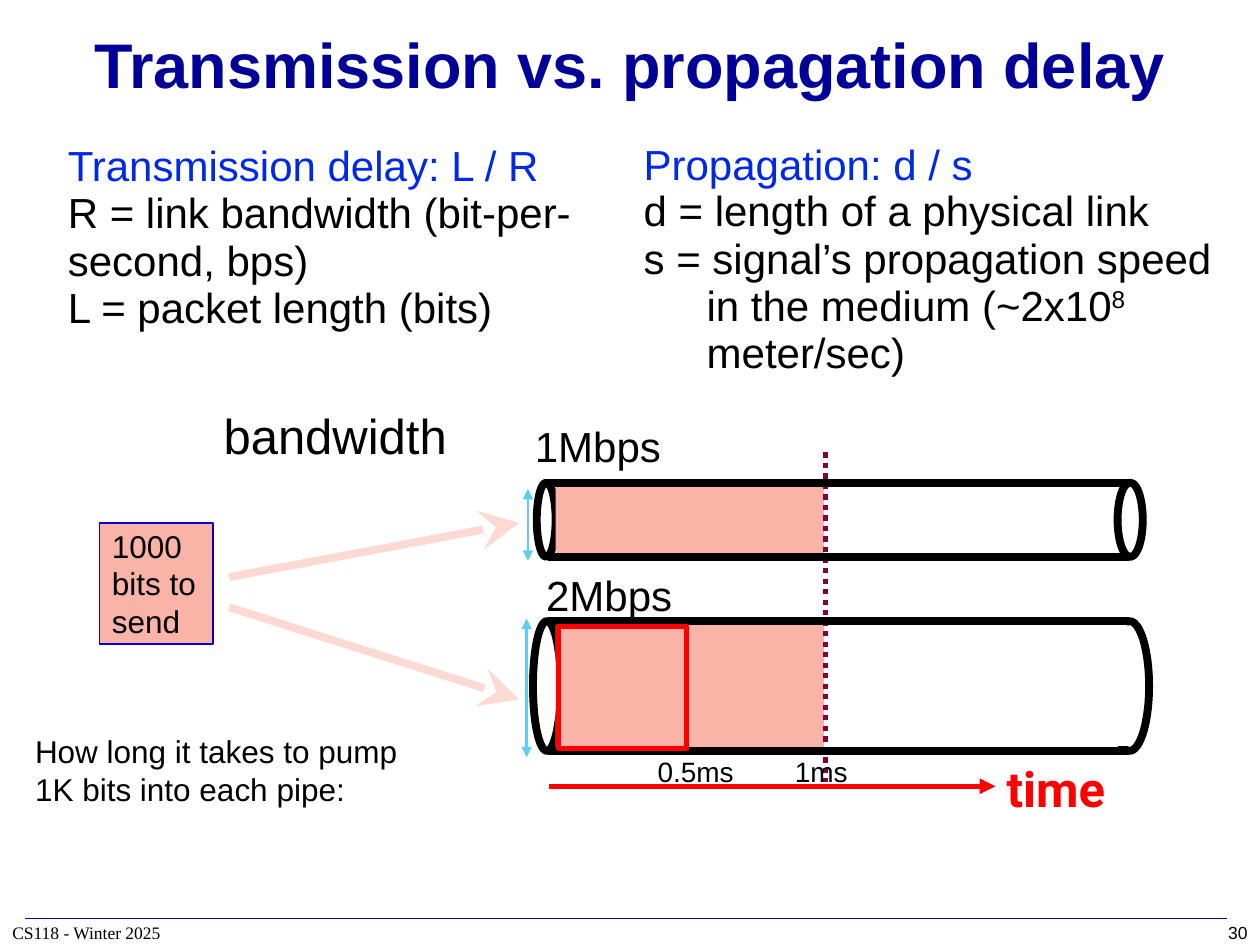
from lxml import etree
from pptx import Presentation
from pptx.dml.color import RGBColor as RGB
from pptx.enum.dml import MSO_LINE as DASH
from pptx.enum.shapes import MSO_CONNECTOR as CONN, MSO_SHAPE as SHAPE
from pptx.enum.text import MSO_ANCHOR as ANCHOR, PP_ALIGN as ALIGN
from pptx.oxml.ns import qn
from pptx.util import Inches, Pt

NAVY = RGB(0x00, 0x00, 0x99)
BLUE = RGB(0x00, 0x29, 0xE7)
EDGE = RGB(0x00, 0x00, 0xCC)
SKY = RGB(0x5E, 0xCC, 0xF3)
PINK = RGB(0xF9, 0xB3, 0xA7)
PALE = RGB(0xFC, 0xD9, 0xD3)
PLUM = RGB(0x80, 0x00, 0x40)
RED = RGB(0xFF, 0x00, 0x00)
BLACK = RGB(0x00, 0x00, 0x00)
WHITE = RGB(0xFF, 0xFF, 0xFF)


def style(para, size, color=BLACK, face="Arial", bold=False):
    """Set the font of a paragraph."""
    font = para.font
    font.name, font.size, font.bold = face, Pt(size), bold
    font.color.rgb = color


def label(slide, box, text, size, color=BLACK, face="Arial", bold=False,
          align=ALIGN.LEFT, anchor=ANCHOR.TOP, wrap=False):
    """Add a one-paragraph text box."""
    frame = slide.shapes.add_textbox(*map(Inches, box)).text_frame
    frame.word_wrap, frame.vertical_anchor = wrap, anchor
    para = frame.paragraphs[0]
    para.text, para.alignment = text, align
    style(para, size, color, face, bold)


def line(slide, start, end, color, width, head=None, tail=None, size="med", dash=None):
    """Add a straight line with optional arrowheads."""
    item = slide.shapes.add_connector(CONN.STRAIGHT, *map(Inches, (*start, *end)))
    item.line.color.rgb, item.line.width = color, Pt(width)
    if dash:
        item.line.dash_style = dash
    props = item.line._get_or_add_ln()
    for tag, kind in (("a:headEnd", head), ("a:tailEnd", tail)):
        if kind:
            etree.SubElement(props, qn(tag), type=kind, w=size, len=size)
    etree.SubElement(item._element.spPr, qn("a:effectLst"))


def shape(slide, kind, box, fill=None, edge=None, width=1):
    """Add a preset shape with a plain fill and outline."""
    item = slide.shapes.add_shape(kind, *map(Inches, box))
    item.shadow.inherit = False
    if fill is None:
        item.fill.background()
    else:
        item.fill.solid()
        item.fill.fore_color.rgb = fill
    if edge is None:
        item.line.fill.background()
    else:
        item.line.color.rgb, item.line.width = edge, Pt(width)
    return item


def title(slide, box, text):
    """Place and format the title."""
    item = slide.shapes.title
    item.left, item.top, item.width, item.height = map(Inches, box)
    frame = item.text_frame
    frame.text, frame.vertical_anchor = text, ANCHOR.MIDDLE
    para = frame.paragraphs[0]
    para.alignment = ALIGN.CENTER
    style(para, 36, NAVY, bold=True)


def column(slide, box, head, rows, lead=0.94, hang=0):
    """Write a blue heading and its definitions, with (text, raised) runs."""
    frame = slide.shapes.add_textbox(*map(Inches, box)).text_frame
    frame.word_wrap = True
    para = frame.paragraphs[0]
    para.text, para.line_spacing = head, lead
    style(para, 24, BLUE)
    for row in rows:
        para = frame.add_paragraph()
        para.line_spacing = 0.94
        if hang:
            props = para._p.get_or_add_pPr()
            props.set("marL", str(Inches(hang)))
            props.set("indent", str(-Inches(hang)))
        for text, raised in row:
            run = para.add_run()
            run.text = text
            if raised:
                run.font._element.set("baseline", "30000")
        style(para, 24)


def pipe(slide, box, near, far, open_end):
    """Draw the ends of a pipe and the bits that fill it for 1 ms."""
    x, y, w, h = box
    shape(slide, SHAPE.OVAL, (x, y, near, h), edge=BLACK, width=4.5)
    shape(slide, SHAPE.OVAL, (x + w - far, y, far, h), edge=BLACK, width=4.5)
    if not open_end:
        shape(slide, SHAPE.RECTANGLE, (x + w - 0.37, y + 0.03, 0.2, h - 0.07), WHITE)
    shape(slide, SHAPE.RECTANGLE, (4.41, y + 0.02, 2.13, h - 0.04), PINK)


def walls(slide, box):
    """Draw the top and bottom walls of a pipe."""
    x, y, w, h = box
    for level in (y, y + h):
        line(slide, (4.35, level), (8.96, level), BLACK, 4.5)


def diagram(slide, box):
    """Draw the packet, the two pipes and the time axis."""
    x, y, w, h = box
    thin = (x + 4.08, y + 0.66, 4.81, 0.59)
    wide = (x + 4.05, y + 1.76, 4.89, 1.03)
    line(slide, (x + 4.18, y + 3.07), (x + 7.72, y + 3.07), RED, 3, tail="triangle")
    for left, top, size in ((4.01, 0.71, 0.57), (4, 1.74, 1.1)):
        line(slide, (x + left, y + top), (x + left, y + top + size), SKY, 1.5,
             "triangle", "triangle")
    label(slide, (x + 1.48, y, 2, 0.57), "bandwidth", 28,
          align=ALIGN.CENTER, anchor=ANCHOR.MIDDLE)
    label(slide, (x + 7.7, y + 2.8, 1, 0.57), "time", 28, RED, "Roboto", True,
          ALIGN.CENTER, ANCHOR.MIDDLE)
    label(slide, (x + 3.94, y + 0.12, 1.25, 0.5), "1Mbps", 24, align=ALIGN.CENTER)
    pipe(slide, thin, 0.15, 0.2, True)
    pipe(slide, wide, 0.22, 0.31, False)
    line(slide, (x + 6.37, y + 0.42), (x + 6.37, y + 3.04), PLUM, 3,
         dash=DASH.ROUND_DOT)
    packet = shape(slide, SHAPE.RECTANGLE, (x + 0.61, y + 0.98, 0.9, 0.96), PINK, EDGE)
    packet.text_frame.word_wrap = True
    para = packet.text_frame.paragraphs[0]
    para.text, para.alignment = "1000 bits to send", ALIGN.LEFT
    style(para, 18)
    label(slide, (x + 4.94, y + 2.77, 0.81, 0.37), "0.5ms", 16)
    label(slide, (x + 6.03, y + 2.77, 0.63, 0.37), "1ms", 16)
    for tube in (thin, wide):
        walls(slide, tube)
    for top, tip in ((1.41, 0.98), (1.65, 2.38)):
        line(slide, (x + 1.64, y + top), (x + 3.94, y + tip), PALE, 4.5,
             tail="stealth", size="lg")
    shape(slide, SHAPE.RECTANGLE, (x + 4.25, y + 1.8, 1.02, 0.97), edge=RED, width=3)
    label(slide, (x + 4.03, y + 1.3, 1.25, 0.5), "2Mbps", 24, align=ALIGN.CENTER)
    label(slide, (x, y + 2.59, 3.2, 0.71),
          "How long it takes to pump 1K bits into each pipe:", 18, wrap=True)


def footer(slide, box):
    """Draw the rule, the course name and the page number."""
    x, y, w, h = box
    line(slide, (x + 0.2, y - 0.01), (x + w - 0.26, y - 0.01), NAVY, 1)
    label(slide, (x, y, 2, h), "CS118 - Winter 2025", 10, face="Times New Roman",
          anchor=ANCHOR.MIDDLE, wrap=True)
    label(slide, (x + w - 0.5, y, 0.5, h), "30", 10, align=ALIGN.RIGHT,
          anchor=ANCHOR.MIDDLE, wrap=True)


def main():
    """Build and save the slide."""
    deck = Presentation()
    deck.slide_width, deck.slide_height = Inches(10), Inches(7.5)
    slide = deck.slides.add_slide(deck.slide_layouts[5])
    title(slide, (0, 0, 10, 1), "Transmission vs. propagation delay")
    diagram(slide, (0.18, 3.17, 8.94, 3.37))
    column(slide, (5.01, 1.01, 4.79, 3.3), "Propagation: d / s", [
        [("d = length of a physical link", False)],
        [("s = signal’s propagation speed in the medium (~2x10", False),
         ("8", True), (" meter/sec)", False)],
    ], lead=1.1, hang=0.5)
    column(slide, (0.44, 1.09, 4.64, 3.3), "Transmission delay: L / R", [
        [("R = link bandwidth (bit-per-second, bps)", False)],
        [("L = packet length (bits)", False)],
    ])
    footer(slide, (0, 7.3, 10, 0.2))
    deck.save("out.pptx")


if __name__ == "__main__":
    main()
